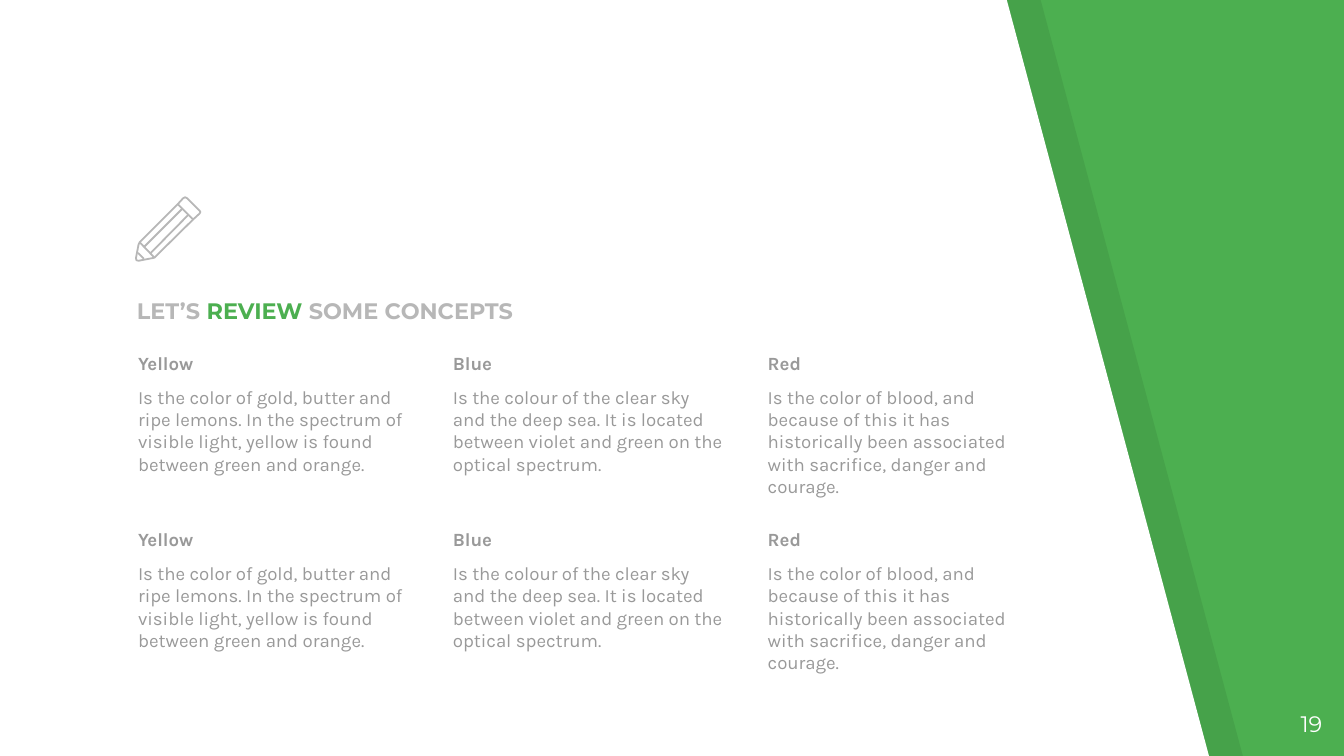
from lxml import etree
from pptx import Presentation
from pptx import util as u
from pptx.dml.color import RGBColor
from pptx.enum import shapes, text
from pptx.oxml.ns import qn

COLORS = {
    "green": "4CAF50",
    "white": "FFFFFF",
    "shade": "000000",
    "light": "B7B7B7",
    "body": "999999",
}

CONCEPTS = [
    ("Yellow", "Is the color of gold, butter and ripe lemons. In the spectrum of "
               "visible light, yellow is found between green and orange."),
    ("Blue", "Is the colour of the clear sky and the deep sea. It is located "
             "between violet and green on the optical spectrum."),
    ("Red", "Is the color of blood, and because of this it has historically been "
            "associated with sacrifice, danger and courage."),
]

ERASER = [(3.77, 3.98), (3.54, 3.75), (3.5, 3.73), (3.46, 3.75), (3.36, 3.86),
          (3.65, 4.15), (3.77, 4.04), (3.79, 4.01)]
BARREL = [(3.36, 3.86), (2.64, 4.58), (2.62, 4.62), (2.57, 4.88), (2.58, 4.92),
          (2.62, 4.93), (2.88, 4.88), (2.92, 4.87), (3.65, 4.15)]
PENCIL_LINES = [
    ((3.55, 4.07), (2.84, 4.79)),
    ((2.72, 4.67), (3.44, 3.95)),
    ((2.72, 4.89), (2.61, 4.78)),
    ((2.64, 4.58), (2.92, 4.87)),
]


def rgb(name):
    return RGBColor.from_string(COLORS[name])


class SlideBuilder:
    def __init__(self, s, line_width=0.96):
        self.s = s
        self.line_width = u.Pt(line_width)

    def background(self, color):
        fill = self.s.background.fill
        fill.solid()
        fill.fore_color.rgb = rgb(color)

    def outline(self, line, color):
        line.color.rgb = rgb(color)
        line.width = self.line_width

    def freeform(self, points, fill=None, line=None, alpha=None, close=True, parent=None):
        """Draw a polygon or polyline from points in cm; alpha is a percentage."""
        pts = [(u.Cm(x), u.Cm(y)) for x, y in points]
        builder = (parent or self.s).shapes.build_freeform(*pts[0])
        builder.add_line_segments(pts[1:], close=close)
        sp = builder.convert_to_shape()
        sp.shadow.inherit = False
        if fill:
            sp.fill.solid()
            sp.fill.fore_color.rgb = rgb(fill)
        else:
            sp.fill.background()
        if line:
            self.outline(sp.line, line)
        else:
            sp.line.fill.background()
        if alpha is not None:
            clr = sp._element.spPr.find(qn("a:solidFill"))[0]
            etree.SubElement(clr, qn("a:alpha"), val=str(alpha * 1000))

    def line(self, start, end, color, parent=None):
        ends = [u.Cm(v) for v in (*start, *end)]
        cxn = (parent or self.s).shapes.add_connector(shapes.MSO_CONNECTOR.STRAIGHT, *ends)
        self.outline(cxn.line, color)
        etree.SubElement(cxn._element.spPr, qn("a:effectLst"))

    def textbox(self, box, paragraphs, font, size, anchor=text.MSO_ANCHOR.TOP,
                align=text.PP_ALIGN.LEFT, space_before=0):
        """Each paragraph is a list of (words, color, bold) runs."""
        tf = self.s.shapes.add_textbox(*(u.Cm(v) for v in box)).text_frame
        tf.word_wrap = True
        tf.vertical_anchor = anchor
        tf.margin_left = tf.margin_right = tf.margin_top = tf.margin_bottom = u.Cm(0.25)
        for i, runs in enumerate(paragraphs):
            p = tf.add_paragraph() if i else tf.paragraphs[0]
            p.alignment = align
            p.space_before = u.Pt(space_before)
            for words, color, bold in runs:
                r = p.add_run()
                r.text = words
                r.font.name = font
                r.font.size = u.Pt(size)
                r.font.bold = bold
                r.font.color.rgb = rgb(color)

    def pencil(self, color):
        group = self.s.shapes.add_group_shape()
        self.freeform(ERASER, line=color, parent=group)
        self.freeform(BARREL, line=color, close=False, parent=group)
        for start, end in PENCIL_LINES:
            self.line(start, end, color, parent=group)


def main():
    prs = Presentation()
    prs.slide_width, prs.slide_height = u.Cm(25.4), u.Cm(14.29)
    slide = SlideBuilder(prs.slides.add_slide(prs.slide_layouts[6]))

    slide.background("green")
    for left, fill, alpha in ((0.64, "shade", 7), (0, "white", None)):
        panel = [(left, -0.03), (left, 14.33), (left + 22.86, 14.33), (left + 19.02, -0.03)]
        slide.freeform(panel, fill=fill, alpha=alpha)

    title = [("LET’S ", "light", True), ("REVIEW", "green", True),
             (" SOME CONCEPTS", "light", True)]
    slide.textbox((2.34, 5.23, 13.34, 1.14), [title], "Montserrat", 12,
                  anchor=text.MSO_ANCHOR.BOTTOM)

    for row in range(2):
        for col, (name, description) in enumerate(CONCEPTS):
            box = (2.36 + col * 5.95, 6.4 + row * 3.33, 5.66, 3.63)
            slide.textbox(box, [[(name, "body", True)], [(description, "body", False)]],
                          "Karla", 10, space_before=6)

    slide.pencil("light")
    slide.textbox((23.72, 13.18, 1.52, 1.09), [[("19", "white", False)]],
                  "Montserrat", 12, align=text.PP_ALIGN.RIGHT)
    prs.save("out.pptx")


if __name__ == "__main__":
    main()
